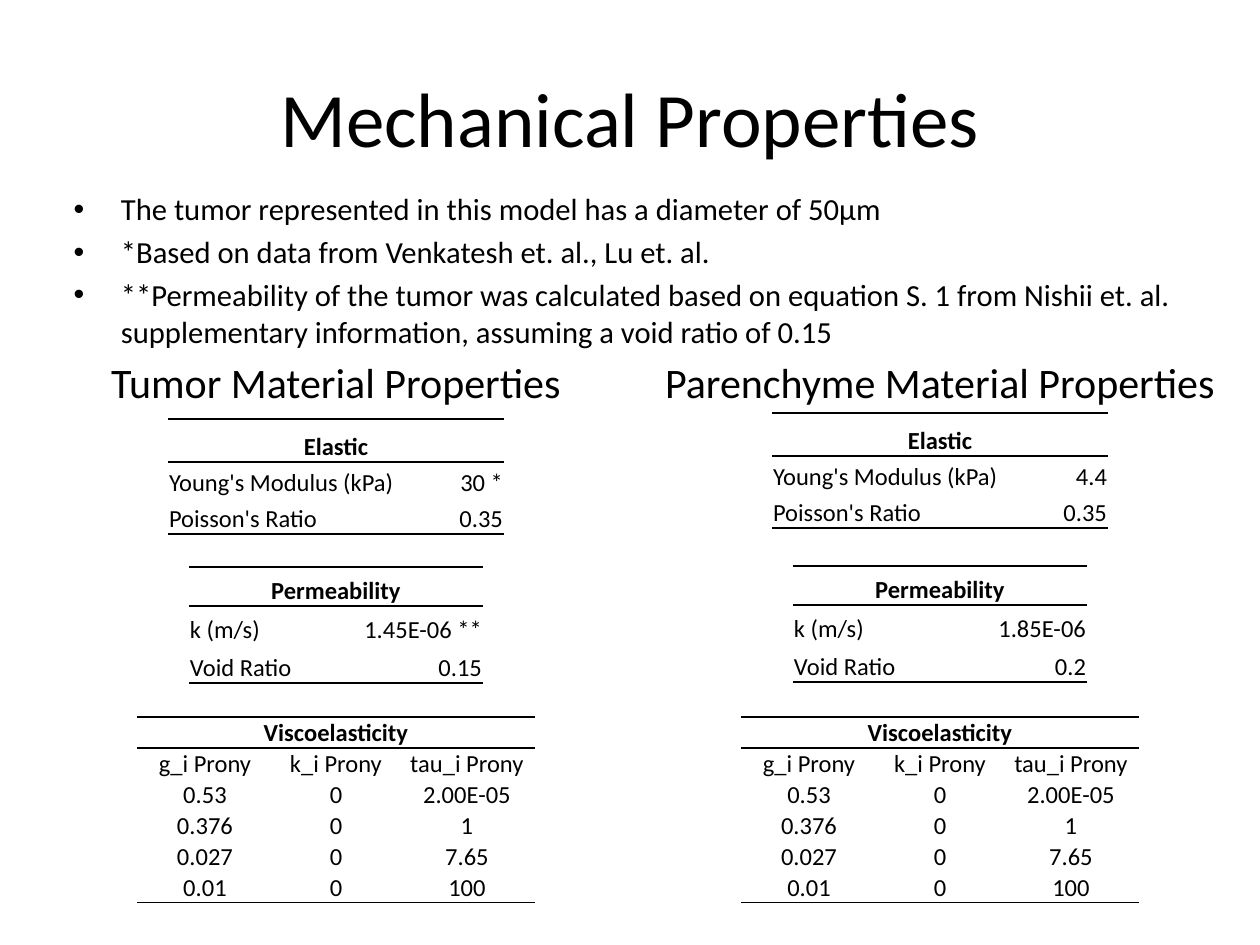
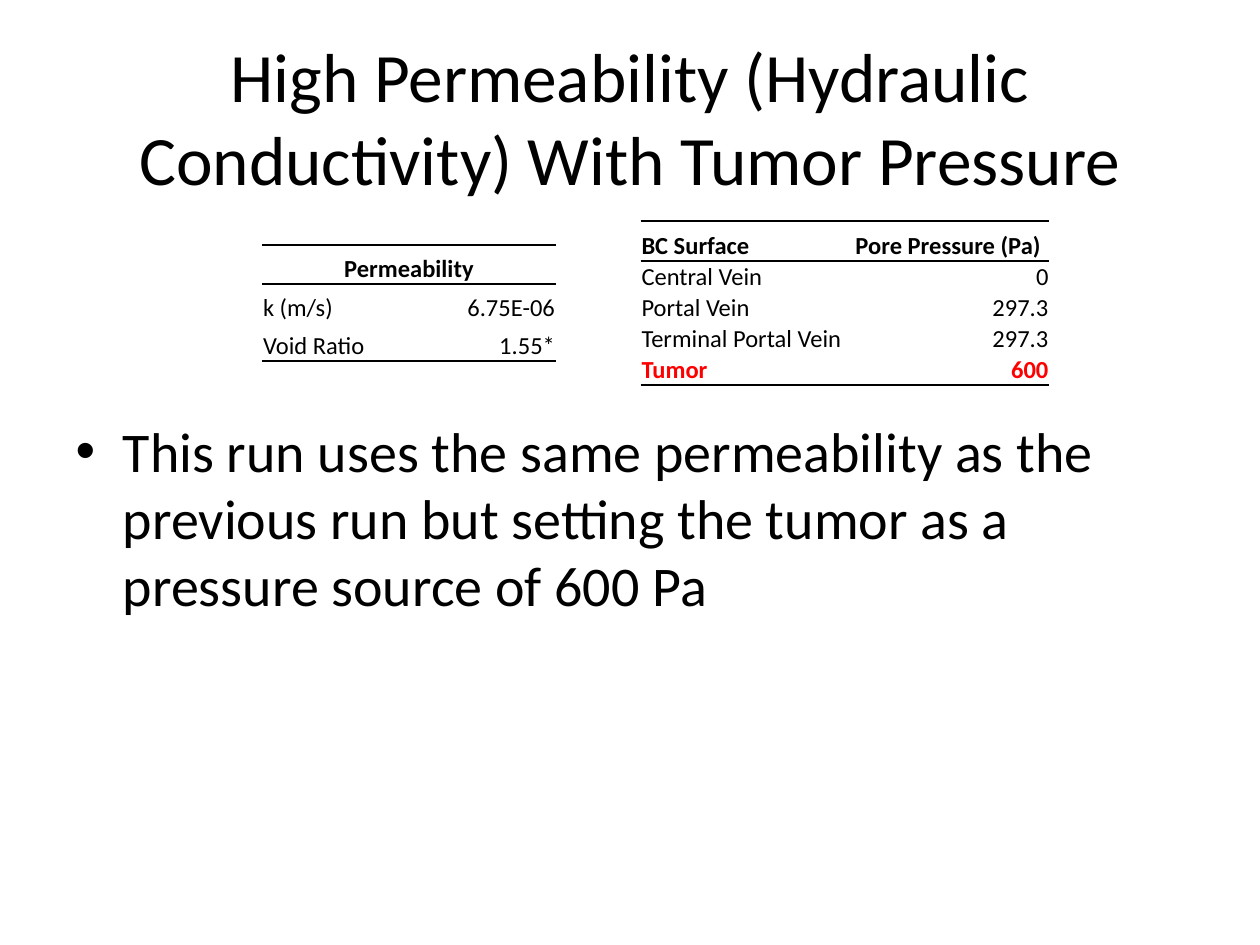
from dataclasses import dataclass

import lxml.etree
import pptx
import pptx.dml.color
import pptx.enum.text
import pptx.oxml.ns
import pptx.util

EMU_PER_PX = 914400 / 126
FONT = "Calibri"
BLACK = pptx.dml.color.RGBColor(0x00, 0x00, 0x00)
RED = pptx.dml.color.RGBColor(0xFF, 0x00, 0x00)
PLAIN_TABLE_STYLE = "{2D5ABB26-0587-4C30-8999-92F81FD0307C}"
LEFT = pptx.enum.text.PP_ALIGN.LEFT
CENTER = pptx.enum.text.PP_ALIGN.CENTER
RIGHT = pptx.enum.text.PP_ALIGN.RIGHT


@dataclass(frozen=True)
class Frame:
    left: int
    top: int
    width: int
    height: int


@dataclass(frozen=True)
class PropertyTable:
    axis: int
    top: int
    widths: tuple[int, ...]
    heights: tuple[int, ...]
    aligns: tuple
    header: tuple[str, ...]
    rows: tuple[tuple[str, ...], ...]
    highlight: str = ""


@dataclass(frozen=True)
class Material:
    name: str
    axis: int
    elastic_top: int
    elastic_widths: tuple[int, int]
    modulus: str
    permeability_top: int
    permeability: str
    void_ratio: str


TITLE_FRAME = Frame(63, 38, 1134, 157)
MATERIALS = (
    Material("Tumor Material Properties", 336, 419, (231, 105), "30 *",
             567, "1.45E-06 **", "0.15"),
    Material("Parenchyme Material Properties", 940, 413, (237, 99), "4.4",
             566, "1.85E-06", "0.2"),
)
PRONY_ROWS = (
    ("g_i Prony", "k_i Prony", "tau_i Prony"),
    ("0.53", "0", "2.00E-05"),
    ("0.376", "0", "1"),
    ("0.027", "0", "7.65"),
    ("0.01", "0", "100"),
)


def px(length: float) -> pptx.util.Emu:
    return pptx.util.Emu(round(length * EMU_PER_PX))


def add_span(para, text: str, size: float, bold: bool = False, color=BLACK) -> None:
    span = para.add_run()
    span.text = text
    span.font.name = FONT
    span.font.size = pptx.util.Pt(size)
    span.font.bold = bold
    span.font.color.rgb = color


def place(box, frame: Frame) -> None:
    box.left, box.top = px(frame.left), px(frame.top)
    box.width, box.height = px(frame.width), px(frame.height)


def fill_placeholder(box, frame: Frame, lines: tuple[str, ...], size: float) -> None:
    place(box, frame)
    box.text_frame.auto_size = pptx.enum.text.MSO_AUTO_SIZE.NONE
    for index, line in enumerate(lines):
        para = box.text_frame.add_paragraph() if index else box.text_frame.paragraphs[0]
        para.space_before = pptx.util.Pt(size * 0.2 if index else 0)
        add_span(para, line, size)


def add_page(deck, title: str, title_size: float, body: Frame,
             bullets: tuple[str, ...], bullet_size: float):
    page = deck.slides.add_slide(deck.slide_layouts[1])
    fill_placeholder(page.shapes.title, TITLE_FRAME, (title,), title_size)
    fill_placeholder(page.placeholders[1], body, bullets, bullet_size)
    return page


def add_border(cell, side: str) -> None:
    properties = cell._tc.get_or_add_tcPr()
    qn = pptx.oxml.ns.qn
    line = lxml.etree.SubElement(properties, qn(f"a:{side}"), w=str(pptx.util.Pt(1)))
    fill = lxml.etree.SubElement(line, qn("a:solidFill"))
    lxml.etree.SubElement(fill, qn("a:srgbClr"), val=str(BLACK))


def add_property_table(page, design: PropertyTable) -> None:
    rows = (design.header, *design.rows)
    width, height = sum(design.widths), sum(design.heights)
    holder = page.shapes.add_table(
        len(rows), len(design.widths), px(design.axis - width / 2), px(design.top),
        px(width), px(height))
    table = holder.table
    table.first_row = table.horz_banding = False
    style = table._tbl.tblPr.find(pptx.oxml.ns.qn("a:tableStyleId"))
    style.text = PLAIN_TABLE_STYLE
    for column, column_width in zip(table.columns, design.widths):
        column.width = px(column_width)
    for row, row_height in zip(table.rows, design.heights):
        row.height = px(row_height)
    merged = len(design.header) == 1
    if merged:
        table.cell(0, 0).merge(table.cell(0, len(design.widths) - 1))

    for row_index, texts in enumerate(rows):
        for column_index, align in enumerate(design.aligns):
            cell = table.cell(row_index, column_index)
            cell.margin_left = cell.margin_right = cell.margin_top = px(1)
            cell.margin_bottom = 0
            cell.vertical_anchor = pptx.enum.text.MSO_ANCHOR.BOTTOM
            if row_index == 0:
                add_border(cell, "lnT")
                align = CENTER if merged else LEFT
            if row_index in (0, len(rows) - 1):
                add_border(cell, "lnB")
            cell.fill.background()
            if column_index < len(texts):
                marked = texts[0] == design.highlight
                para = cell.text_frame.paragraphs[0]
                para.alignment = align
                add_span(para, texts[column_index], 14, row_index == 0 or marked,
                         RED if marked else BLACK)


def permeability_table(axis: int, top: int, permeability: str,
                       void_ratio: str) -> PropertyTable:
    return PropertyTable(
        axis, top, (153, 141), (39, 39, 38), (LEFT, RIGHT), ("Permeability",),
        (("k (m/s)", permeability), ("Void Ratio", void_ratio)))


def add_material(page, material: Material) -> None:
    width = 580
    box = page.shapes.add_textbox(
        px(material.axis - width / 2), px(350), px(width), px(63))
    box.text_frame.word_wrap = False
    box.text_frame.auto_size = pptx.enum.text.MSO_AUTO_SIZE.SHAPE_TO_FIT_TEXT
    para = box.text_frame.paragraphs[0]
    para.alignment = CENTER
    add_span(para, material.name, 24)

    add_property_table(page, PropertyTable(
        material.axis, material.elastic_top, material.elastic_widths, (43, 36, 36),
        (LEFT, RIGHT), ("Elastic",),
        (("Young's Modulus (kPa)", material.modulus), ("Poisson's Ratio", "0.35"))))
    add_property_table(page, permeability_table(
        material.axis, material.permeability_top, material.permeability,
        material.void_ratio))
    add_property_table(page, PropertyTable(
        material.axis, 717, (136, 126, 136), (31,) * 6, (CENTER,) * 3,
        ("Viscoelasticity",), PRONY_ROWS))


def build_mechanical_properties(deck) -> None:
    page = add_page(
        deck, "Mechanical Properties", 44, Frame(61, 184, 1134, 160),
        ("The tumor represented in this model has a diameter of 50μm",
         "*Based on data from Venkatesh et. al., Lu et. al.",
         "**Permeability of the tumor was calculated based on equation S. 1 from "
         "Nishii et. al. supplementary information, assuming a void ratio of 0.15"),
        17.5)
    for material in MATERIALS:
        add_material(page, material)


def build_tumor_pressure(deck) -> None:
    page = add_page(
        deck, "High Permeability (Hydraulic Conductivity) With Tumor Pressure", 39.6,
        Frame(63, 410, 1134, 435),
        ("This run uses the same permeability as the previous run but setting the "
         "tumor as a pressure source of 600 Pa",), 32)
    add_property_table(page, permeability_table(409, 245, "6.75E-06", "1.55*"))
    add_property_table(page, PropertyTable(
        845, 221, (214, 195), (40, 31, 31, 31, 31), (LEFT, RIGHT),
        ("BC Surface", "Pore Pressure (Pa)"),
        (("Central Vein", "0"), ("Portal Vein", "297.3"),
         ("Terminal Portal Vein", "297.3"), ("Tumor", "600")),
        highlight="Tumor"))


def main() -> None:
    deck = pptx.Presentation()
    deck.slide_width, deck.slide_height = px(1260), px(945)
    build_mechanical_properties(deck)
    build_tumor_pressure(deck)
    deck.save("out.pptx")


if __name__ == "__main__":
    main()
